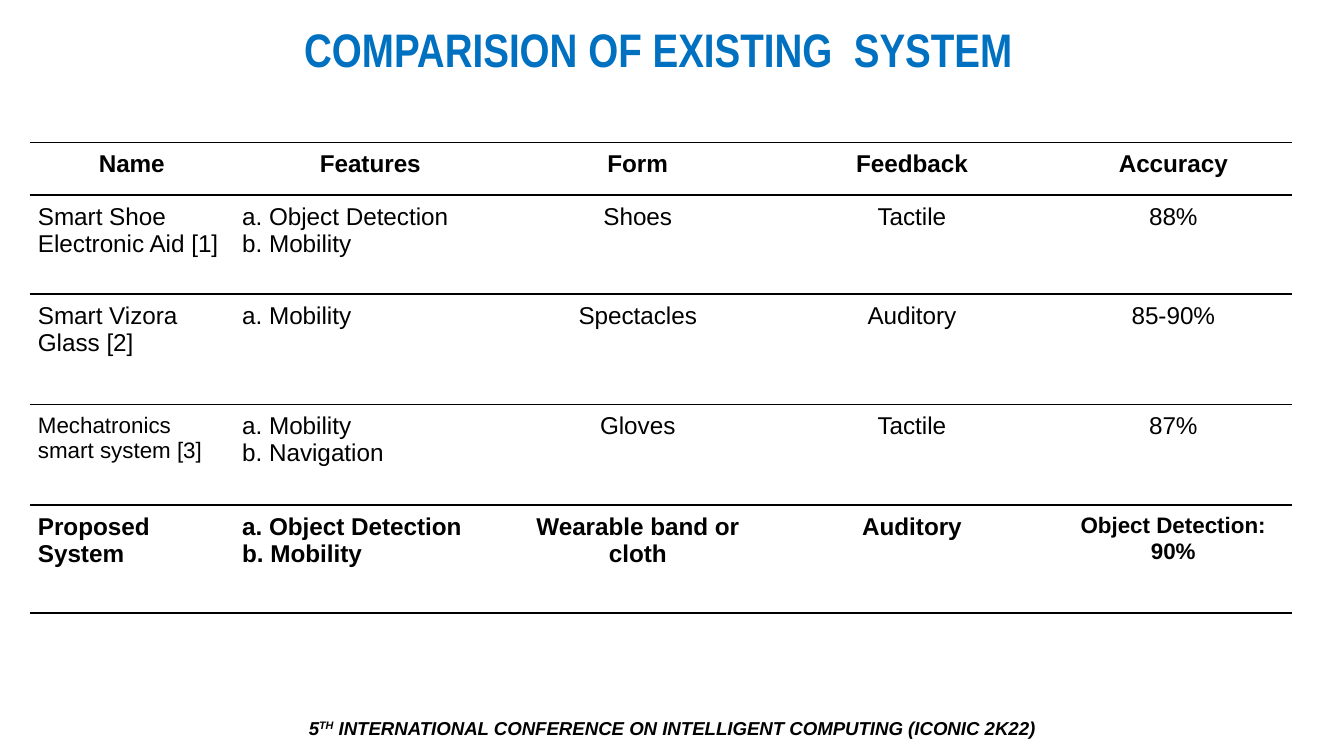
from lxml import etree
from pptx import Presentation
from pptx.dml.color import RGBColor
from pptx.enum.text import MSO_ANCHOR, PP_ALIGN
from pptx.oxml.ns import qn
from pptx.util import Inches, Pt

LEFT, CENTER = PP_ALIGN.LEFT, PP_ALIGN.CENTER
TOP, MIDDLE = MSO_ANCHOR.TOP, MSO_ANCHOR.MIDDLE
W = 10
H = W * 9 / 16
BLACK, BLUE = "000000", "0070C0"
COLS = [1.52, 2.03, 1.95, 2.13, 1.76]
ROWS = [0.39, 0.74, 0.82, 0.75, 0.8]
LEFT_COLS = (0, 1)
SMALL_CELLS = ((3, 0), (4, 4))
CELLS = [
    ["Name", "Features", "Form", "Feedback", "Accuracy"],
    ["Smart Shoe Electronic Aid [1]", "a. Object Detection\nb. Mobility",
     "Shoes", "Tactile", "88%"],
    ["Smart Vizora Glass [2]", "a. Mobility", "Spectacles", "Auditory", "85-90%"],
    ["Mechatronics smart system [3]", "a. Mobility\nb. Navigation",
     "Gloves", "Tactile", "87%"],
    ["Proposed System", "a. Object Detection\nb. Mobility",
     "Wearable band or cloth", "Auditory", "Object Detection: 90%"],
]


def rgb(value):
    return RGBColor.from_string(value)


def add_run(p, text, size, bold=False, italic=False, color=BLACK, font="Arial"):
    r = p.add_run()
    r.text = text
    r.font.name = font
    r.font.size = Pt(size)
    r.font.bold = bold
    r.font.italic = italic
    r.font.color.rgb = rgb(color)
    return r


def add_text_box(s, x, y, w, h, anchor):
    sp = s.shapes.add_textbox(Inches(x * W), Inches(y * H), Inches(w * W), Inches(h * H))
    tf = sp.text_frame
    tf.word_wrap = True
    tf.vertical_anchor = anchor
    tf.margin_left = tf.margin_right = tf.margin_top = tf.margin_bottom = Inches(0.1)
    p = tf.paragraphs[0]
    p.alignment = CENTER
    return p


def add_title(s):
    p = add_text_box(s, 0.04, 0.03, 0.9, 0.07, MIDDLE)
    add_run(p, "COMPARISION OF EXISTING  SYSTEM", 25.2, True, color=BLUE, font="Arial Narrow")


def add_footer(s):
    p = add_text_box(s, 0.13, 5.25 / H, 0.74, 0.37 / H, TOP)
    add_run(p, "5", 10, True, True)
    r = add_run(p, "TH", 10, True, True)
    r.font._element.set("baseline", "30000")
    add_run(p, " INTERNATIONAL CONFERENCE ON INTELLIGENT COMPUTING (ICONIC 2K22)", 10, True, True)


def set_borders(cell):
    tcPr = cell._tc.get_or_add_tcPr()
    for i, side in enumerate(("lnL", "lnR", "lnT", "lnB")):
        ln = etree.Element(qn(f"a:{side}"), w=str(Pt(1)))
        if side in ("lnT", "lnB"):
            fill = etree.SubElement(ln, qn("a:solidFill"))
            etree.SubElement(fill, qn("a:srgbClr"), val=BLACK)
        else:
            etree.SubElement(ln, qn("a:noFill"))
        tcPr.insert(i, ln)


def fill_cell(cell, text, size, bold, align):
    cell.fill.background()
    set_borders(cell)
    cell.margin_left = cell.margin_right = Pt(4.5)
    cell.margin_top = cell.margin_bottom = Pt(4.5)
    tf = cell.text_frame
    for i, line in enumerate(text.split("\n")):
        p = tf.add_paragraph() if i else tf.paragraphs[0]
        p.alignment = align
        add_run(p, line, size, bold)


def add_comparison_table(s):
    table = s.shapes.add_table(len(ROWS), len(COLS), Inches(0.022 * W), Inches(1.06),
                               Inches(sum(COLS)), Inches(sum(ROWS))).table
    table.horz_banding = False
    for col, width in zip(table.columns, COLS):
        col.width = Inches(width)
    for row, height in zip(table.rows, ROWS):
        row.height = Inches(height)
    last = len(ROWS) - 1
    for i, texts in enumerate(CELLS):
        for j, text in enumerate(texts):
            size = 12 if (i, j) in SMALL_CELLS else 13
            align = LEFT if i and j in LEFT_COLS else CENTER
            fill_cell(table.cell(i, j), text, size, i in (0, last), align)


def main():
    prs = Presentation()
    prs.slide_width, prs.slide_height = Inches(W), Inches(H)
    s = prs.slides.add_slide(prs.slide_layouts[6])
    add_footer(s)
    add_comparison_table(s)
    add_title(s)
    prs.save("out.pptx")


if __name__ == "__main__":
    main()
